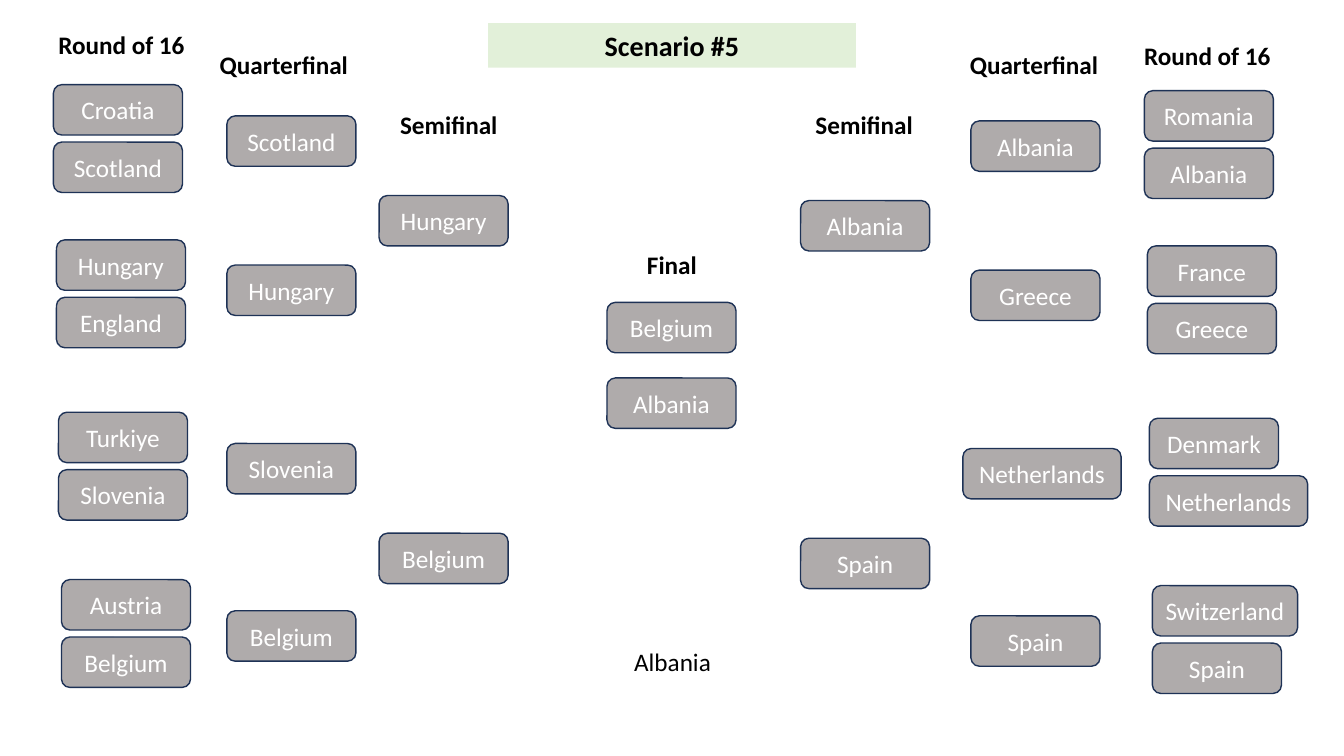
from pptx import Presentation
from pptx.dml.color import RGBColor
from pptx.enum.shapes import MSO_SHAPE
from pptx.enum.text import MSO_ANCHOR, MSO_AUTO_SIZE, PP_ALIGN
from pptx.util import Inches, Pt

COLORS = {"team": "AFABAB", "outline": "1E3256", "title": "E2F0D9",
          "light": "FFFFFF", "dark": "000000"}
TEAM_W, TEAM_H = 1.28, 0.5
LABEL_H = 0.4
PAIR_STEP = 0.57
WIDE_TEAMS = {"Netherlands": 1.57, "Switzerland": 1.44}
PAIR_SPOTS = [(0, 0), (0.03, 1.54), (0.05, 3.25), (0.08, 4.91)]
QUARTER_TOPS = [0.31, 1.79, 3.56, 5.22]
SEMI_TOPS = [1.1, 4.45]

LEFT_HALF = {
    "box": (0.53, 0.84), "quarter_x": 1.72, "semi_x": 3.23, "inner_dy": 0,
    "pairs": [("Croatia", "Scotland"), ("Hungary", "England"),
              ("Turkiye", "Slovenia"), ("Austria", "Belgium")],
    "quarters": [("Scotland", 0), ("Hungary", 0), ("Slovenia", 0), ("Belgium", 0)],
    "semis": ["Hungary", "Belgium"],
    "labels": [("Round of 16", -0.05, -0.6, 1.49),
               ("Quarterfinal", 1.55, -0.4, 1.49),
               ("Semifinal", 3.34, 0.2, 1.23)],
}
RIGHT_HALF = {
    "box": (11.35, 0.9), "quarter_x": -1.72, "semi_x": -3.41, "inner_dy": -0.01,
    "pairs": [("Romania", "Albania"), ("France", "Greece"),
              ("Denmark", "Netherlands"), ("Switzerland", "Spain")],
    "quarters": [("Albania", 0), ("Greece", 0), ("Netherlands", -0.08), ("Spain", 0)],
    "semis": ["Albania", "Spain"],
    "labels": [("Round of 16", -0.1, -0.55, 1.49),
               ("Quarterfinal", -1.83, -0.46, 1.49),
               ("Semifinal", -3.36, 0.14, 1.17)],
}


def rgb(name):
    """Return the palette colour with the given name."""
    return RGBColor.from_string(COLORS[name])


def write(tf, text, color, size=18, bold=False, align=PP_ALIGN.CENTER):
    """Write one formatted run into a text frame."""
    tf.word_wrap = True
    p = tf.paragraphs[0]
    p.alignment = align
    r = p.add_run()
    r.text = text
    r.font.name = "Calibri"
    r.font.size = Pt(size)
    r.font.bold = bold
    r.font.color.rgb = rgb(color)


def add_team(s, team, x, y):
    """Add a rounded team box at the given corner."""
    width = WIDE_TEAMS.get(team, TEAM_W)
    sp = s.shapes.add_shape(MSO_SHAPE.ROUNDED_RECTANGLE, Inches(x), Inches(y),
                            Inches(width), Inches(TEAM_H))
    sp.shadow.inherit = False
    sp.fill.solid()
    sp.fill.fore_color.rgb = rgb("team")
    sp.line.color.rgb = rgb("outline")
    sp.line.width = Pt(1)
    sp.text_frame.vertical_anchor = MSO_ANCHOR.MIDDLE
    write(sp.text_frame, team, "light")


def add_label(s, text, x, y, width, bold=True, align=PP_ALIGN.LEFT):
    """Add a plain text label at the given corner."""
    sp = s.shapes.add_textbox(Inches(x), Inches(y), Inches(width), Inches(LABEL_H))
    write(sp.text_frame, text, "dark", bold=bold, align=align)
    sp.text_frame.auto_size = MSO_AUTO_SIZE.SHAPE_TO_FIT_TEXT


def draw_title(s, box):
    """Format the title placeholder as a banner of fixed size in the box."""
    sp = s.shapes.title
    sp.left, sp.top, sp.width, sp.height = (Inches(v) for v in box)
    sp.fill.solid()
    sp.fill.fore_color.rgb = rgb("title")
    tf = sp.text_frame
    tf.auto_size = MSO_AUTO_SIZE.NONE
    tf.vertical_anchor = MSO_ANCHOR.TOP
    write(tf, "Scenario #5", "dark", size=20, bold=True)


def draw_half(s, half):
    """Draw one side of the bracket from its first team's corner."""
    x, y = half["box"]
    inner_y = y + half["inner_dy"]
    for (dx, dy), pair in zip(PAIR_SPOTS, half["pairs"]):
        for i, team in enumerate(pair):
            add_team(s, team, x + dx, y + dy + i * PAIR_STEP)
    for dy, (team, nudge) in zip(QUARTER_TOPS, half["quarters"]):
        add_team(s, team, x + half["quarter_x"] + nudge, inner_y + dy)
    for dy, team in zip(SEMI_TOPS, half["semis"]):
        add_team(s, team, x + half["semi_x"], inner_y + dy)
    for text, dx, dy, width in half["labels"]:
        add_label(s, text, x + dx, y + dy, width)


def draw_final(s, box):
    """Draw the final and the winner below it from the box corner."""
    x, y = box
    add_label(s, "Final", x + 0.06, y - 0.58, 1.17, align=PP_ALIGN.CENTER)
    for i, team in enumerate(["Belgium", "Albania"]):
        add_team(s, team, x, y + i * 0.75)
    add_label(s, "Albania", x - 0.34, y + 3.36, 1.98, bold=False,
              align=PP_ALIGN.CENTER)


def main():
    """Build the bracket slide and save it."""
    prs = Presentation()
    prs.slide_width, prs.slide_height = Inches(13.33), Inches(7.5)
    s = prs.slides.add_slide(prs.slide_layouts.get_by_name("Title Only"))
    draw_title(s, (4.84, 0.23, 3.65, 0.44))
    for half in (LEFT_HALF, RIGHT_HALF):
        draw_half(s, half)
    draw_final(s, (6.02, 3))
    prs.save("out.pptx")


if __name__ == "__main__":
    main()
